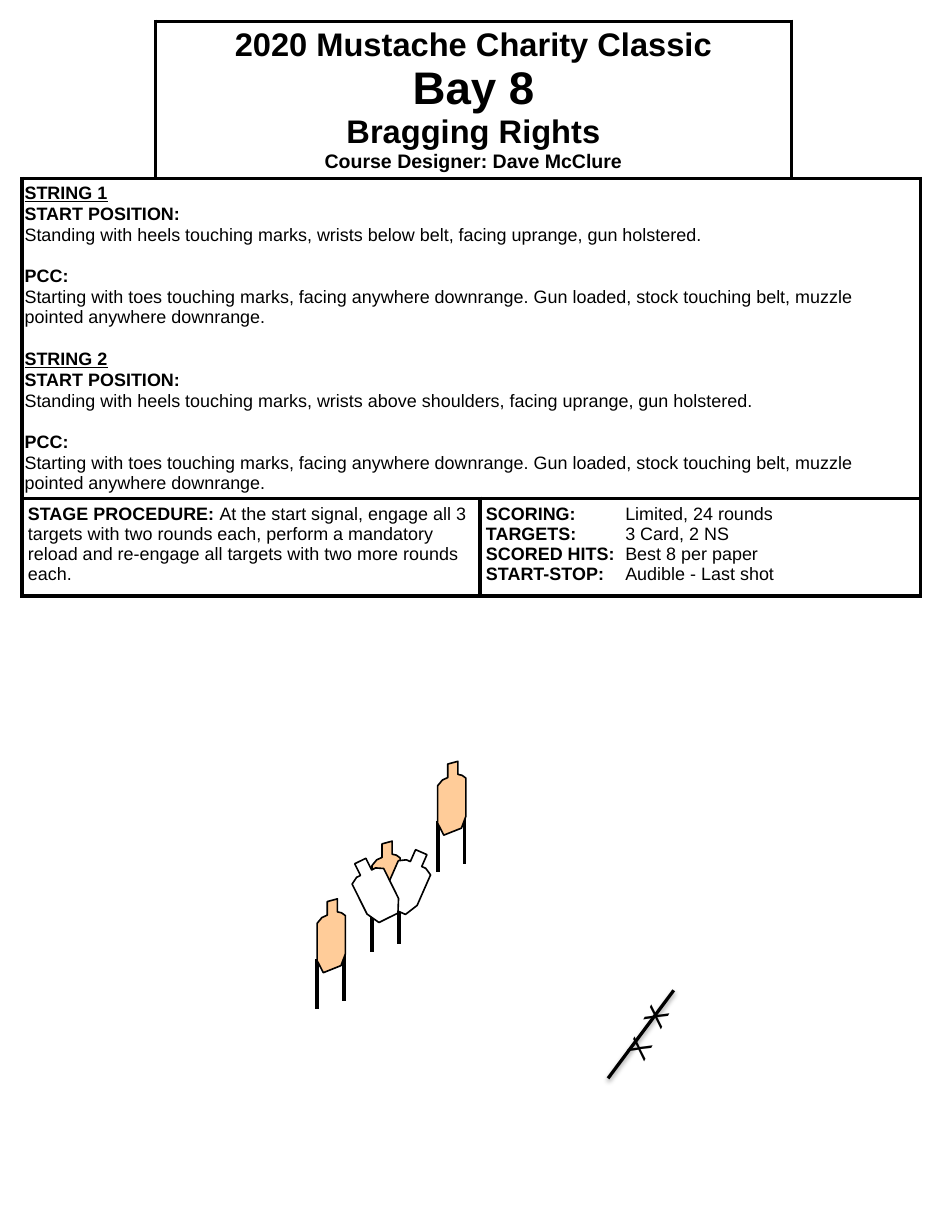
from dataclasses import dataclass
from lxml.etree import SubElement
from pptx import Presentation
from pptx.dml.color import RGBColor as RGB
from pptx.enum.shapes import MSO_CONNECTOR as CONN
from pptx.enum.text import MSO_ANCHOR as ANCHOR, MSO_AUTO_SIZE as AUTO, PP_ALIGN as ALIGN
from pptx.oxml.ns import qn
from pptx.util import Pt


@dataclass(frozen=True)
class Theme:
    font: str = "Arial"
    ink: str = "000000"
    paper: str = "FFFFFF"
    tan: str = "FFCC99"
    title: float = 20
    bay: float = 28
    designer: float = 12
    body: float = 11
    mark: float = 18
    border: float = 2.25
    outline: float = 1


T = Theme()

# Target outlines, relative to their top left corner
TAN_TARGET = [(6.2, 1.7), (12.4, 0), (12.4, 8), (15, 8.6), (17.3, 10.3), (17.3, 33.8), (14.6, 41),
              (3.8, 45.3), (0, 38), (0, 15), (2.9, 11.5), (6.2, 10)]
NO_SHOOT = [(7, 0), (14.6, 0), (14.6, 8), (17.3, 8), (21.6, 10.5), (21.6, 31), (17.3, 38.9),
            (4.3, 38.9), (0, 31), (0, 10.5), (4.3, 8), (7, 8)]
POSTS = [(0, 36.7), (16.5, 31.9)]
POST_LENGTH = 31

STANCES = [("STRING 1", "below belt"), ("STRING 2", "above shoulders")]
PCC = ("Starting with toes touching marks, facing anywhere downrange. Gun loaded, "
       "stock touching belt, muzzle pointed anywhere downrange.")
PROCEDURE = ("At the start signal, engage all 3 targets with two rounds each, perform a mandatory "
             "reload and re-engage all targets with two more rounds each.")
SCORING = [("SCORING:", "Limited, 24 rounds"), ("TARGETS:", "3 Card, 2 NS"),
           ("SCORED HITS:", "Best 8 per paper"), ("START-STOP:", "Audible - Last shot")]


def add_run(p, text, size=T.body, bold=False, underline=False):
    r = p.add_run()
    r.text = text
    f = r.font
    f.name, f.size, f.bold, f.underline = T.font, Pt(size), bold, underline
    f.color.rgb = RGB.from_string(T.ink)


def next_paragraph(tf):
    """Return the first paragraph while it is empty, then new ones."""
    first = tf.paragraphs[0]
    return tf.add_paragraph() if first.runs else first


def style_cell(cell, sides, inset_x=3.6, inset_y=3.6):
    cell.margin_left = cell.margin_right = Pt(inset_x)
    cell.margin_top = cell.margin_bottom = Pt(inset_y)
    tcPr = cell._tc.get_or_add_tcPr()
    for side in "LRTB":
        ln = SubElement(tcPr, qn(f"a:ln{side}"), w=str(Pt(T.border)))
        if side in sides:
            fill = SubElement(ln, qn("a:solidFill"))
            SubElement(fill, qn("a:srgbClr"), val=T.ink)
        else:
            SubElement(ln, qn("a:noFill"))
    cell.fill.solid()
    cell.fill.fore_color.rgb = RGB.from_string(T.paper)


def fill_title(cell):
    cell.vertical_anchor = ANCHOR.MIDDLE
    p = cell.text_frame.paragraphs[0]
    p.alignment = ALIGN.CENTER
    lines = [("2020 Mustache Charity Classic", T.title), ("Bay 8", T.bay),
             ("Bragging Rights", T.title), ("Course Designer: Dave McClure", T.designer)]
    for i, (text, size) in enumerate(lines):
        if i:
            p.add_line_break()
        add_run(p, text, size, bold=True)


def fill_strings(cell):
    for name, wrists in STANCES:
        start = f"Standing with heels touching marks, wrists {wrists}, facing uprange, gun holstered."
        rows = [(name, True, True), ("START POSITION:", True, False), (start, False, False),
                ("PCC:", True, False), (PCC, False, False)]
        for text, bold, underline in rows:
            p = next_paragraph(cell.text_frame)
            if p is not cell.text_frame.paragraphs[0] and text != STANCES[0][0]:
                opens_block = underline or text == "PCC:"
                p.space_before = Pt(13.4 if opens_block else 0.55)
            add_run(p, text, bold=bold, underline=underline)


def fill_scoring(cell):
    for label, value in SCORING:
        p = next_paragraph(cell.text_frame)
        tabs = SubElement(p._p.get_or_add_pPr(), qn("a:tabLst"))
        SubElement(tabs, qn("a:tab"), pos=str(Pt(85.5)), algn="l")
        add_run(p, label, bold=True)
        add_run(p, "\t" + value)


def add_briefing(s):
    widths, heights = (82, 199, 191, 79), (96.5, 195.5, 60)
    frame = s.shapes.add_table(3, 4, Pt(13.5), Pt(13), Pt(sum(widths)), Pt(sum(heights)))
    table = frame.table
    table.first_row = table.horz_banding = False
    for column, width in zip(table.columns, widths):
        column.width = Pt(width)
    for row, height in zip(table.rows, heights):
        row.height = Pt(height)
    for r in range(3):
        for c in range(4):
            sides = {(0, 0): "RB", (0, 3): "LB"}.get((r, c), "LRTB")
            insets = (1.6, 2.9) if r == 1 else (3.6, 3.6)
            style_cell(table.cell(r, c), sides, *insets)
    for r, first, last in [(0, 1, 2), (1, 0, 3), (2, 0, 1), (2, 2, 3)]:
        table.cell(r, first).merge(table.cell(r, last))

    fill_title(table.cell(0, 1))
    fill_strings(table.cell(1, 0))
    p = table.cell(2, 0).text_frame.paragraphs[0]
    add_run(p, "STAGE PROCEDURE: ", bold=True)
    add_run(p, PROCEDURE)
    fill_scoring(table.cell(2, 2))


def add_line(shapes, x1, y1, x2, y2, width):
    line = shapes.add_connector(CONN.STRAIGHT, Pt(x1), Pt(y1), Pt(x2), Pt(y2))
    line.line.color.rgb = RGB.from_string(T.ink)
    line.line.width = Pt(width)
    return SubElement(line._element.spPr, qn("a:effectLst"))


def add_outline(shapes, points, x, y, color, rotation=0):
    pts = [(Pt(px), Pt(py)) for px, py in points]
    builder = shapes.build_freeform(*pts[0])
    builder.add_line_segments(pts[1:], close=True)
    sp = builder.convert_to_shape(Pt(x), Pt(y))
    sp.shadow.inherit = False
    sp.fill.solid()
    sp.fill.fore_color.rgb = RGB.from_string(color)
    sp.line.color.rgb = RGB.from_string(T.ink)
    sp.line.width = Pt(T.outline)
    sp.rotation = rotation


def add_target(s, x, y):
    shapes = s.shapes.add_group_shape().shapes
    for dx, dy in POSTS:
        add_line(shapes, x + dx, y + dy, x + dx, y + dy + POST_LENGTH, T.border)
    add_outline(shapes, TAN_TARGET, x, y, T.tan)


def add_firing_line(s):
    effects = add_line(s.shapes, 413.3, 607.7, 373, 661.7, 2)
    shadow = SubElement(effects, qn("a:outerShdw"), blurRad=str(Pt(3.1)), dist=str(Pt(1.6)),
                        dir="5400000", rotWithShape="0")
    color = SubElement(shadow, qn("a:srgbClr"), val=T.ink)
    SubElement(color, qn("a:alpha"), val="38000")

    # Heel marks
    box = s.shapes.add_textbox(Pt(370.8), Pt(616.3), Pt(54.7), Pt(28.8))
    box.rotation = 297.9
    tf = box.text_frame
    tf.word_wrap = True
    tf.auto_size = AUTO.SHAPE_TO_FIT_TEXT
    add_run(tf.paragraphs[0], "X  X", T.mark)


def main():
    prs = Presentation()
    prs.slide_width, prs.slide_height = Pt(576), Pt(756)
    s = prs.slides.add_slide(prs.slide_layouts[6])

    # Stage briefing
    add_briefing(s)

    # Targets, the middle one partly covered by two no-shoots
    add_target(s, 228.2, 516.2)
    add_outline(s.shapes, NO_SHOOT, 239.8, 521.3, T.paper, 23.7)
    add_outline(s.shapes, NO_SHOOT, 218.9, 526.3, T.paper, 333.6)
    add_target(s, 194.6, 551.6)
    add_target(s, 268.5, 467.2)

    # Shooter position
    add_firing_line(s)
    prs.save("out.pptx")


if __name__ == "__main__":
    main()
